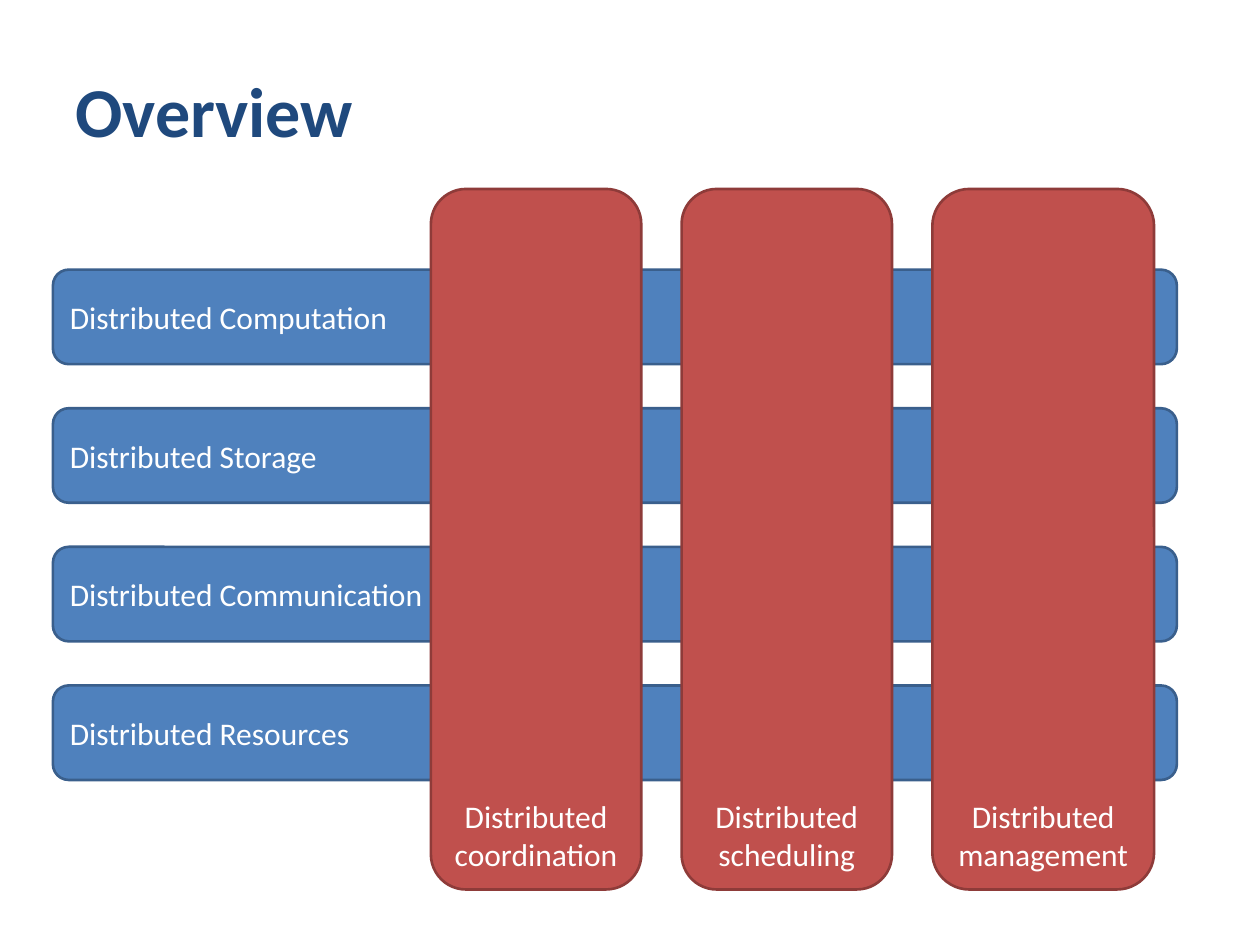
from pptx import Presentation
from pptx.dml.color import RGBColor
from pptx.enum.shapes import MSO_SHAPE
from pptx.enum.text import MSO_ANCHOR, PP_ALIGN
from pptx.util import Inches, Pt

ROUNDED = MSO_SHAPE.ROUNDED_RECTANGLE
MIDDLE, BOTTOM = MSO_ANCHOR.MIDDLE, MSO_ANCHOR.BOTTOM
LEFT, CENTER = PP_ALIGN.LEFT, PP_ALIGN.CENTER

LAYERS = ["Distributed Computation", "Distributed Storage",
          "Distributed Communication", "Distributed Resources"]
# Label and width of each pillar
PILLARS = [("Distributed coordination", 1.67),
           ("Distributed scheduling", 1.67),
           ("Distributed management", 1.76)]


def color(value):
    return RGBColor.from_string(value)


def write(sp, text, size, rgb, anchor, align, bold=False):
    tf = sp.text_frame
    tf.word_wrap = True
    tf.vertical_anchor = anchor
    tf.text = text
    p = tf.paragraphs[0]
    p.alignment = align
    font = p.runs[0].font
    font.name, font.size, font.bold = "Calibri", Pt(size), bold
    font.color.rgb = color(rgb)


def add_block(s, box, text, fill, line, anchor, align):
    sp = s.shapes.add_shape(ROUNDED, *map(Inches, box))
    sp.shadow.inherit = False
    sp.fill.solid()
    sp.fill.fore_color.rgb = color(fill)
    sp.line.color.rgb = color(line)
    sp.line.width = Pt(1.5)
    write(sp, text, 18, "FFFFFF", anchor, align)


def add_title(s, box, text):
    sp = s.shapes.add_textbox(*map(Inches, box))
    write(sp, text, 40, "1F497D", BOTTOM, LEFT, bold=True)


def add_layers(s, box, bar_height):
    """Horizontal bars spread evenly down the box."""
    left, top, width, height = box
    pitch = (height - bar_height) / (len(LAYERS) - 1)
    for i, text in enumerate(LAYERS):
        add_block(s, (left, top + i * pitch, width, bar_height), text,
                  "4F81BD", "3A5F8C", MIDDLE, LEFT)


def add_pillars(s, box):
    """Vertical bars with equal gaps across the box."""
    left, top, width, height = box
    gap = (width - sum(w for _, w in PILLARS)) / (len(PILLARS) - 1)
    for text, w in PILLARS:
        add_block(s, (left, top, w, height), text,
                  "C0504D", "8E3B39", BOTTOM, CENTER)
        left += w + gap


def main():
    prs = Presentation()
    prs.slide_width, prs.slide_height = Inches(10), Inches(7.5)
    s = prs.slides.add_slide(prs.slide_layouts[6])
    add_title(s, (0.5, 0.17, 9, 1.08), "Overview")
    add_layers(s, (0.42, 2.14, 8.92, 4.05), 0.75)
    add_pillars(s, (3.42, 1.5, 5.74, 5.56))
    prs.save("out.pptx")


if __name__ == "__main__":
    main()
